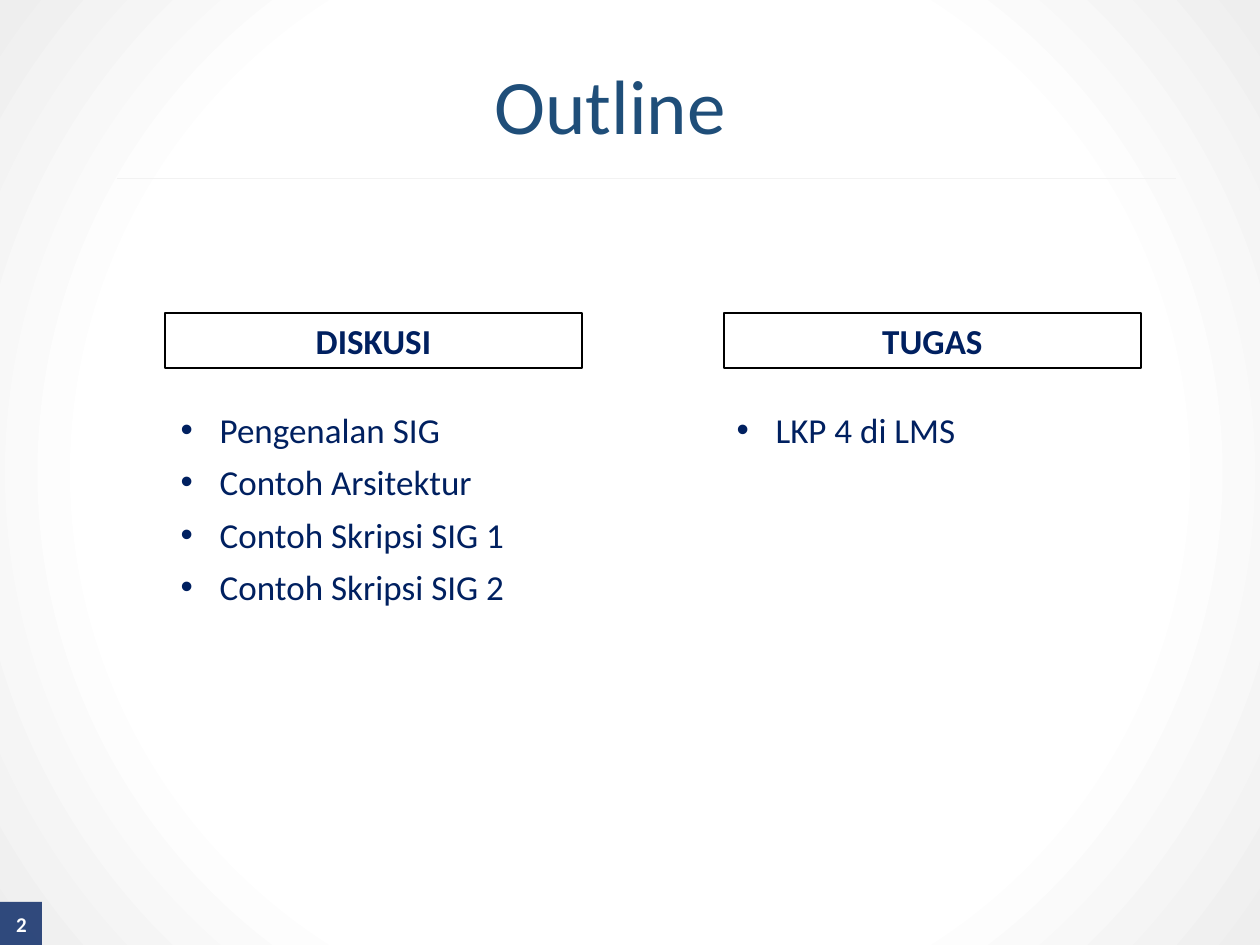
"""Build the outline slide with its discussion and assignment columns."""
from dataclasses import dataclass

from lxml import etree
from pptx import Presentation
from pptx.dml.color import RGBColor
from pptx.enum.shapes import MSO_CONNECTOR, MSO_SHAPE
from pptx.enum.text import MSO_ANCHOR, MSO_AUTO_SIZE, PP_ALIGN
from pptx.oxml import parse_xml
from pptx.oxml.ns import nsdecls, qn
from pptx.util import Pt

TITLE = "Outline"
PAGE_NUMBER = "2"
COLUMNS = [
    {"heading": "DISKUSI", "heading_left": 165, "list_left": 168, "list_height": 320,
     "items": ["Pengenalan SIG", "Contoh Arsitektur",
               "Contoh Skripsi SIG 1", "Contoh Skripsi SIG 2"]},
    {"heading": "TUGAS", "heading_left": 724, "list_left": 724, "list_height": 214,
     "items": ["LKP 4 di LMS"]},
]

EMU_PER_PX = 914400 // 126
SLIDE_SIZE = (1260, 945)
COLUMN_WIDTH = 417
HEADING_TOP, HEADING_HEIGHT = 313, 55
LIST_TOP = 402
BULLET_INDENT = 39
COMPARISON_LAYOUT = 4

CENTER, LEFT = PP_ALIGN.CENTER, PP_ALIGN.LEFT
MIDDLE, TOP = MSO_ANCHOR.MIDDLE, MSO_ANCHOR.TOP
NO_AUTOFIT = MSO_AUTO_SIZE.NONE
RECTANGLE = MSO_SHAPE.RECTANGLE
STRAIGHT = MSO_CONNECTOR.STRAIGHT


@dataclass(frozen=True)
class Theme:
    font: str = "Calibri"
    title: str = "1F4E79"
    navy: str = "002060"
    white: str = "FFFFFF"
    border: str = "000000"
    rule: str = "F2F2F2"
    edge: str = "EEEEEE"
    title_size: int = 44
    body_size: int = 20
    number_size: int = 12


THEME = Theme()


def px(value):
    return value * EMU_PER_PX


def rgb(color):
    return RGBColor.from_string(color)


def place(shape, left, top, width, height):
    shape.left, shape.top = px(left), px(top)
    shape.width, shape.height = px(width), px(height)


def write(shape, lines, size, color, bold=False, align=LEFT, anchor=TOP, space_after=0):
    frame = shape.text_frame
    frame.text = "\n".join(lines)
    frame.word_wrap = True
    frame.auto_size = NO_AUTOFIT
    frame.vertical_anchor = anchor
    for paragraph in frame.paragraphs:
        paragraph.alignment = align
        paragraph.space_before = Pt(0)
        paragraph.space_after = Pt(space_after)
        for run in paragraph.runs:
            run.font.name = THEME.font
            run.font.size = Pt(size)
            run.font.bold = bold
            run.font.color.rgb = rgb(color)


def add_bullets(shape):
    for paragraph in shape.text_frame.paragraphs:
        properties = paragraph._p.get_or_add_pPr()
        properties.set("marL", str(px(BULLET_INDENT)))
        properties.set("indent", str(-px(BULLET_INDENT)))
        etree.SubElement(properties, qn("a:buFont"), typeface="Arial")
        etree.SubElement(properties, qn("a:buChar"), char="•")


def set_background(slide):
    background = parse_xml(
        f'<p:bg {nsdecls("p", "a")}><p:bgPr><a:gradFill rotWithShape="1"><a:gsLst>'
        f'<a:gs pos="67000"><a:srgbClr val="{THEME.white}"/></a:gs>'
        f'<a:gs pos="100000"><a:srgbClr val="{THEME.edge}"/></a:gs></a:gsLst>'
        '<a:path path="circle"><a:fillToRect l="50000" t="50000" r="50000" b="50000"/>'
        '</a:path></a:gradFill><a:effectLst/></p:bgPr></p:bg>')
    slide._element.cSld.insert(0, background)


def add_page_number(slide):
    badge = slide.shapes.add_shape(RECTANGLE, 0, px(902), px(42), px(44))
    badge.shadow.inherit = False
    badge.fill.solid()
    badge.fill.fore_color.rgb = rgb(THEME.navy)
    badge.line.fill.background()
    color = badge._element.spPr.find(qn("a:solidFill"))[0]
    etree.SubElement(color, qn("a:alpha"), val="80000")
    frame = badge.text_frame
    frame.margin_left = frame.margin_right = px(16)
    frame.margin_top = frame.margin_bottom = px(16)
    write(badge, [PAGE_NUMBER], THEME.number_size, THEME.white, True, CENTER, MIDDLE)


def add_title(slide):
    title = slide.shapes.title
    place(title, 67, 69, 1086, 82)
    write(title, [TITLE], THEME.title_size, THEME.title, align=CENTER, anchor=MIDDLE)
    title.text_frame.paragraphs[0].line_spacing = 0.9
    rule = slide.shapes.add_connector(STRAIGHT, px(117), px(178), px(1176), px(178))
    rule.line.color.rgb = rgb(THEME.rule)
    rule.line.width = Pt(0.5)
    etree.SubElement(rule._element.spPr, qn("a:effectLst"))


def fill_column(column, heading, items):
    place(heading, column["heading_left"], HEADING_TOP, COLUMN_WIDTH, HEADING_HEIGHT)
    heading.line.color.rgb = rgb(THEME.border)
    heading.line.width = Pt(0.75)
    write(heading, [column["heading"]], THEME.body_size, THEME.navy, True, CENTER,
          space_after=6)
    place(items, column["list_left"], LIST_TOP, COLUMN_WIDTH, column["list_height"])
    write(items, column["items"], THEME.body_size, THEME.navy, space_after=6)
    add_bullets(items)


def main():
    deck = Presentation()
    deck.slide_width, deck.slide_height = map(px, SLIDE_SIZE)
    slide = deck.slides.add_slide(deck.slide_layouts[COMPARISON_LAYOUT])
    set_background(slide)
    add_page_number(slide)
    add_title(slide)
    bodies = list(slide.placeholders)[1:]
    for column, heading, items in zip(COLUMNS, bodies[::2], bodies[1::2]):
        fill_column(column, heading, items)
    deck.save("out.pptx")


if __name__ == "__main__":
    main()
